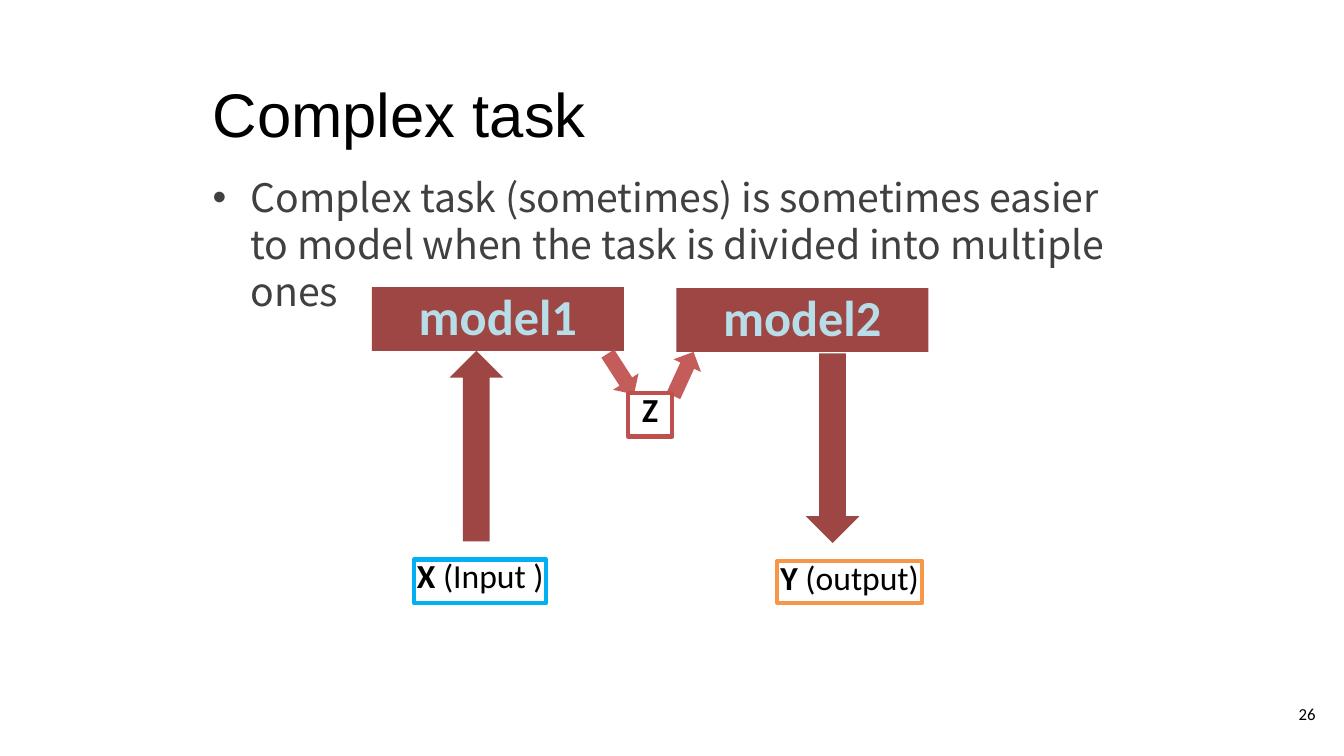
from lxml import etree
from pptx import Presentation
from pptx.dml.color import RGBColor
from pptx.enum import shapes, text
from pptx.oxml.ns import qn
from pptx.util import Pt

BLACK = RGBColor(0x00, 0x00, 0x00)
GREY = RGBColor(0x40, 0x40, 0x40)
DARK_RED = RGBColor(0x95, 0x37, 0x35)
RED = RGBColor(0xC0, 0x50, 0x4D)
PALE_BLUE = RGBColor(0xB7, 0xDE, 0xE8)
BLUE = RGBColor(0x00, 0xB0, 0xF0)
ORANGE = RGBColor(0xF7, 0x96, 0x46)

TITLE = "Complex task"
BODY = ("Complex task (sometimes) is sometimes easier to model "
        "when the task is divided into multiple ones")
PAGE = "26"
# Boxes are left, top, width, height in points
MODELS = [("model1", (265.7, 205.2, 180, 45.4)),
          ("model2", (483.1, 205.9, 180, 45.4))]
# Box, rotation, colour
ARROWS = [((272.2, 299.5, 136.1, 38.2), 270, DARK_RED),
          ((527, 301, 135.4, 38.2), 90, DARK_RED),
          ((470.9, 256.3, 34.6, 21.6), 294.6, RED),
          ((426.2, 256.3, 34.6, 21.6), 57.2, RED)]
# Bold part, plain part, box, outline
VARIABLES = [("Z", "", (448.6, 280.8, 31.7, 31), RED),
             ("Y", " (output)", (555.1, 401, 103.7, 29.5), ORANGE),
             ("X ", "(Input )", (295.9, 399.6, 94.3, 31), BLUE)]


def place(sp, box):
    sp.left, sp.top, sp.width, sp.height = map(Pt, box)


def set_frame(sp, inset_x, inset_y, anchor, wrap=True):
    tf = sp.text_frame
    tf.margin_left = tf.margin_right = Pt(inset_x)
    tf.margin_top = tf.margin_bottom = Pt(inset_y)
    tf.vertical_anchor = anchor
    tf.word_wrap = wrap
    tf.auto_size = text.MSO_AUTO_SIZE.NONE
    return tf


def style(r, name, size, color, bold=False):
    r.font.name, r.font.size, r.font.bold = name, Pt(size), bold
    r.font.color.rgb = color


def add_shape(kind, box, fill=None, line=None):
    """Add a flat shape with a slightly transparent fill or an outline."""
    sp = slide.shapes.add_shape(kind, *map(Pt, box))
    sp.shadow.inherit = False
    if fill is None:
        sp.fill.background()
    else:
        sp.fill.solid()
        sp.fill.fore_color.rgb = fill
        color = sp.fill._xPr.find(".//" + qn("a:srgbClr"))
        etree.SubElement(color, qn("a:alpha"), val="92000")
    if line is None:
        sp.line.fill.background()
    else:
        sp.line.color.rgb = line
        sp.line.width = Pt(3)
    return sp


def center(p):
    p.alignment = text.PP_ALIGN.CENTER
    p.line_spacing = 0.9


prs = Presentation()
prs.slide_width, prs.slide_height = Pt(960), Pt(540)
slide = prs.slides.add_slide(prs.slide_layouts[1])
TOP, MIDDLE = text.MSO_ANCHOR.TOP, text.MSO_ANCHOR.MIDDLE

body = slide.placeholders[1]
place(body, (144.7, 116.6, 671, 358.6))
tf = set_frame(body, 7.2, 7.2, TOP)
tf.text = BODY
p = tf.paragraphs[0]
pPr = p._p.get_or_add_pPr()
pPr.set("marL", str(Pt(27)))
pPr.set("indent", str(Pt(-27)))
etree.SubElement(pPr, qn("a:buFont"), typeface="Arial")
etree.SubElement(pPr, qn("a:buChar"), char="•")
p.space_before = Pt(0)
p.line_spacing = Pt(33.6)
style(p.runs[0], "Noto Sans CJK KR", 28, GREY)

page = slide.shapes.add_textbox(*map(Pt, (889.2, 489.6, 57.6, 41)))
tf = set_frame(page, 7.2, 7.2, MIDDLE)
tf.text = PAGE
tf.paragraphs[0].alignment = text.PP_ALIGN.RIGHT
style(tf.paragraphs[0].runs[0], "Calibri", 12, BLACK)

title = slide.shapes.title
place(title, (144.7, 46.8, 695.5, 60.5))
tf = set_frame(title, 7.2, 7.2, TOP)
tf.text = TITLE
tf.paragraphs[0].alignment = text.PP_ALIGN.LEFT
style(tf.paragraphs[0].runs[0], "Arial", 44, BLACK)

for label, box in MODELS:
    sp = add_shape(shapes.MSO_SHAPE.RECTANGLE, box, fill=DARK_RED)
    tf = set_frame(sp, 5.76, 2.88, MIDDLE)
    tf.text = label
    center(tf.paragraphs[0])
    style(tf.paragraphs[0].runs[0], "Calibri", 36, PALE_BLUE, True)

for box, rotation, color in ARROWS:
    add_shape(shapes.MSO_SHAPE.RIGHT_ARROW, box, fill=color).rotation = rotation

for name, role, box, outline in VARIABLES:
    sp = add_shape(shapes.MSO_SHAPE.RECTANGLE, box, line=outline)
    p = set_frame(sp, 0, 0, TOP, wrap=False).paragraphs[0]
    center(p)
    for part, bold in ((name, True), (role, False)):
        if part:
            r = p.add_run()
            r.text = part
            style(r, "Calibri", 24, BLACK, bold)

prs.save("out.pptx")
